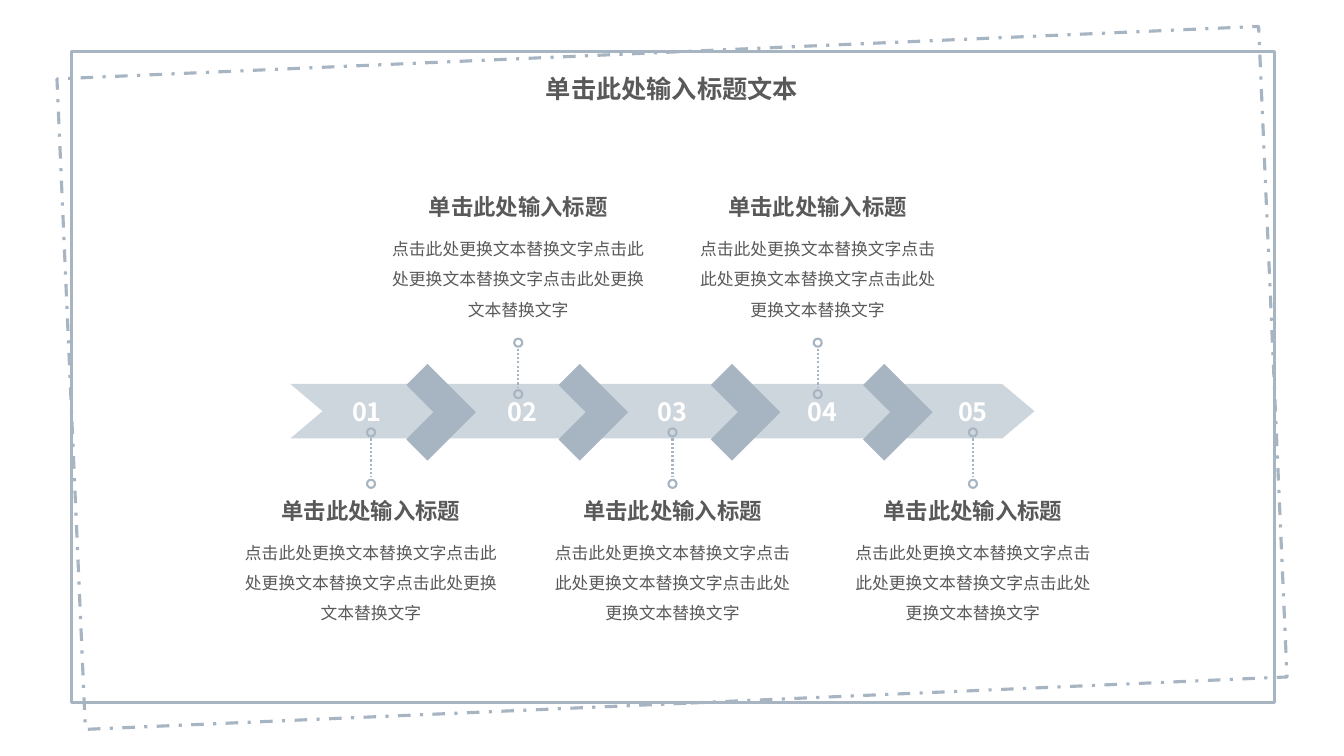
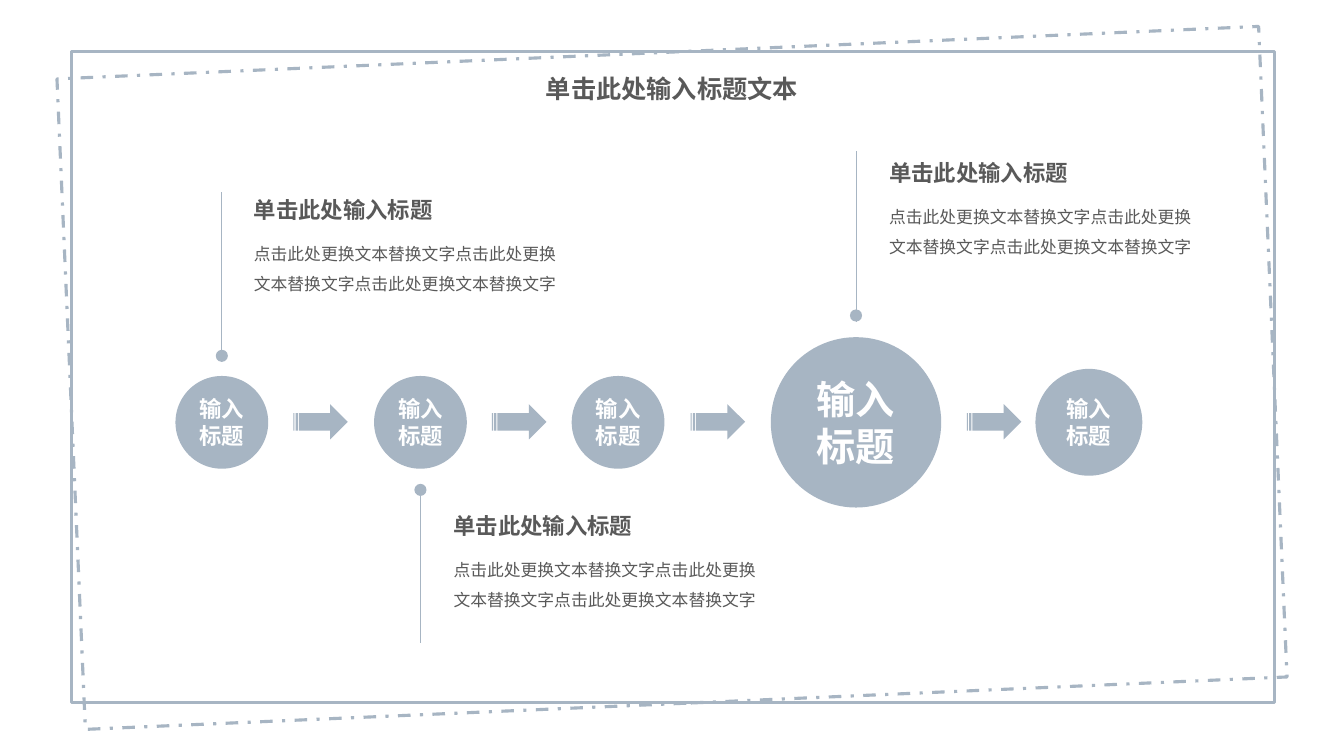
from dataclasses import dataclass
from typing import Optional

from pptx import Presentation
from pptx.dml.color import RGBColor
from pptx.enum.dml import MSO_LINE
from pptx.enum.shapes import MSO_CONNECTOR, MSO_SHAPE
from pptx.enum.text import MSO_ANCHOR, MSO_AUTO_SIZE, PP_ALIGN
from pptx.oxml.ns import qn
from pptx.oxml.xmlchemy import OxmlElement
from pptx.util import Inches, Pt


@dataclass(frozen=True)
class Theme:
    accent: RGBColor = RGBColor(0xA7, 0xB5, 0xC3)
    ink: RGBColor = RGBColor(0x59, 0x59, 0x59)
    white: RGBColor = RGBColor(0xFF, 0xFF, 0xFF)
    font: str = "Noto Sans CJK SC"
    title: float = 18
    heading: float = 16
    body: float = 12
    large: float = 28


@dataclass(frozen=True)
class TextStyle:
    size: float
    color: RGBColor
    bold: bool = True
    align: PP_ALIGN = PP_ALIGN.CENTER
    inset_x: float = 0.1
    inset_y: float = 0.05
    line_spacing: Optional[float] = None
    before: float = 0


@dataclass(frozen=True)
class Step:
    number: str
    number_x: float
    x: float
    body_w: float
    above: bool


@dataclass(frozen=True)
class Stage:
    x: float
    diameter: float
    size: float


@dataclass(frozen=True)
class Callout:
    x: float
    dot_y: float
    line_from: float
    line_to: float
    text_x: float
    heading_y: float


T = Theme()
TITLE = "单击此处输入标题文本"
HEADING = "单击此处输入标题"
BODY = "点击此处更换文本替换文字" * 3
STAGE = "输入标题"

TITLE_STYLE = TextStyle(T.title, T.ink)
NUMBER_STYLE = TextStyle(T.title, T.white, inset_x=0.07, inset_y=0.04)
STEP_HEADING = TextStyle(T.heading, T.ink, inset_x=0.07, inset_y=0.04)
STEP_BODY = TextStyle(T.body, T.ink, False, inset_x=0.07, inset_y=0.04,
                      line_spacing=1.5, before=2.4)
CALLOUT_HEADING = TextStyle(T.heading, T.ink, align=PP_ALIGN.LEFT)
CALLOUT_BODY = TextStyle(T.body, T.ink, False, PP_ALIGN.LEFT, line_spacing=1.5)

STEPS = [
    Step("01", 3.64, 3.68, 2.66, False),
    Step("02", 5.18, 5.14, 2.66, True),
    Step("03", 6.67, 6.67, 2.54, False),
    Step("04", 8.16, 8.11, 2.54, True),
    Step("05", 9.65, 9.65, 2.54, False),
]
BAND = [(2.88, 3.81), (9.94, 3.81), (10.26, 4.08), (9.94, 4.35), (2.88, 4.35), (3.2, 4.08)]
CHEVRON = [(0, 0.21), (0.21, 0), (0.69, 0.48), (0.21, 0.96), (0, 0.75), (0.27, 0.48)]

STAGES = [
    Stage(2.2, 0.92, T.heading),
    Stage(4.17, 0.92, T.heading),
    Stage(6.13, 0.92, T.heading),
    Stage(8.49, 1.69, T.large),
    Stage(10.8, 1.06, T.heading),
]
STAGE_Y = 4.19
ARROW_LEFTS = [2.91, 4.88, 6.85, 9.59]
CALLOUTS = [
    Callout(2.2, 3.53, 3.59, 1.9, 2.42, 1.9),
    Callout(8.49, 3.13, 3.19, 1.5, 8.72, 1.53),
    Callout(4.17, 4.86, 4.8, 6.38, 4.4, 5.03),
]


def write(sp, text: str, style: TextStyle) -> None:
    tf = sp.text_frame
    tf.word_wrap = True
    tf.margin_left = tf.margin_right = Inches(style.inset_x)
    tf.margin_top = tf.margin_bottom = Inches(style.inset_y)
    p = tf.paragraphs[0]
    p.alignment = style.align
    if style.line_spacing:
        p.line_spacing = style.line_spacing
    if style.before:
        p.space_before = Pt(style.before)
    r = p.add_run()
    r.text = text
    r.font.size = Pt(style.size)
    r.font.bold = style.bold
    r.font.color.rgb = style.color
    r.font.name = T.font
    ea = OxmlElement("a:ea")
    ea.set("typeface", T.font)
    r.font.color.rgb = style.color
    r._r.get_or_add_rPr().append(ea)


def add_text(s, x: float, y: float, w: float, h: float, text: str, style: TextStyle) -> None:
    sp = s.shapes.add_textbox(Inches(x), Inches(y), Inches(w), Inches(h))
    write(sp, text, style)
    sp.text_frame.auto_size = MSO_AUTO_SIZE.SHAPE_TO_FIT_TEXT


def fill_accent(sp):
    sp.shadow.inherit = False
    sp.fill.solid()
    sp.fill.fore_color.rgb = T.accent
    sp.line.fill.background()
    return sp


def add_filled(s, kind: MSO_SHAPE, x: float, y: float, w: float, h: float):
    return fill_accent(s.shapes.add_shape(kind, Inches(x), Inches(y), Inches(w), Inches(h)))


def add_outline(s, kind: MSO_SHAPE, x: float, y: float, w: float, h: float, weight: float):
    sp = s.shapes.add_shape(kind, Inches(x), Inches(y), Inches(w), Inches(h))
    sp.shadow.inherit = False
    sp.fill.background()
    sp.line.color.rgb = T.accent
    sp.line.width = Pt(weight)
    return sp


def add_polygon(s, points: list[tuple[float, float]]):
    pts = [(Inches(x), Inches(y)) for x, y in points]
    fb = s.shapes.build_freeform(*pts[0])
    fb.add_line_segments(pts[1:], close=True)
    return fill_accent(fb.convert_to_shape())


def add_vertical(s, x: float, y1: float, y2: float, weight: float,
                 dash: Optional[MSO_LINE] = None) -> None:
    cn = s.shapes.add_connector(MSO_CONNECTOR.STRAIGHT, Inches(x), Inches(y1),
                                Inches(x), Inches(y2))
    cn.line.color.rgb = T.accent
    cn.line.width = Pt(weight)
    if dash:
        cn.line.dash_style = dash
    cn.element.spPr.append(OxmlElement("a:effectLst"))


def move_frame_to_layout(s, layout) -> None:
    tilted = add_outline(s, MSO_SHAPE.RECTANGLE, 0.7, 0.52, 11.93, 6.46, 2.25)
    tilted.rotation = 357.5
    tilted.line.dash_style = MSO_LINE.DASH_DOT
    straight = add_outline(s, MSO_SHAPE.RECTANGLE, 0.71, 0.51, 11.93, 6.46, 2.25)
    for sp in (tilted, straight):
        layout.element.cSld.spTree.append(sp.element)


def add_title(s) -> None:
    add_text(s, 5.3, 0.68, 2.73, 0.4, TITLE, TITLE_STYLE)


def add_step(s, step: Step) -> None:
    pin_y, heading_y = (3.36, 1.88) if step.above else (4.25, 4.89)
    add_text(s, step.number_x - 0.41, 3.89, 0.82, 0.38, step.number, NUMBER_STYLE)
    for y in (pin_y, pin_y + 0.51):
        add_outline(s, MSO_SHAPE.OVAL, step.x - 0.04, y, 0.08, 0.08, 1.5)
    add_vertical(s, step.x, pin_y + 0.1, pin_y + 0.48, 1.5, MSO_LINE.ROUND_DOT)
    add_text(s, step.x - 1.06, heading_y, 2.12, 0.34, HEADING, STEP_HEADING)
    add_text(s, step.x - step.body_w / 2, heading_y + 0.35, step.body_w, 0.98, BODY, STEP_BODY)


def build_steps(s) -> None:
    add_title(s)
    band = add_polygon(s, BAND)
    alpha = OxmlElement("a:alpha")
    alpha.set("val", "56000")
    band.element.spPr.find(qn("a:solidFill")).find(qn("a:srgbClr")).append(alpha)
    for i in range(len(STEPS) - 1):
        add_polygon(s, [(4.03 + 1.51 * i + x, 3.61 + y) for x, y in CHEVRON])
    for step in STEPS:
        add_step(s, step)


def add_callout(s, c: Callout) -> None:
    add_filled(s, MSO_SHAPE.OVAL, c.x - 0.06, c.dot_y - 0.06, 0.12, 0.12)
    add_vertical(s, c.x, c.line_from, c.line_to, 0.5)
    add_text(s, c.text_x, c.heading_y, 2.1, 0.37, HEADING, CALLOUT_HEADING)
    add_text(s, c.text_x, c.heading_y + 0.37, 3.33, 0.67, BODY, CALLOUT_BODY)


def build_stages(s) -> None:
    add_title(s)
    for stage in STAGES:
        d = stage.diameter
        sp = add_filled(s, MSO_SHAPE.OVAL, stage.x - d / 2, STAGE_Y - d / 2, d, d)
        write(sp, STAGE, TextStyle(stage.size, T.white))
        sp.text_frame.vertical_anchor = MSO_ANCHOR.MIDDLE
    for x in ARROW_LEFTS:
        add_filled(s, MSO_SHAPE.STRIPED_RIGHT_ARROW, x, 4.01, 0.54, 0.35)
    for c in CALLOUTS:
        add_callout(s, c)


def main() -> None:
    prs = Presentation()
    prs.slide_width, prs.slide_height = Inches(13.33), Inches(7.5)
    layout = prs.slide_layouts[6]
    steps, stages = (prs.slides.add_slide(layout) for _ in range(2))
    move_frame_to_layout(steps, layout)
    build_steps(steps)
    build_stages(stages)
    prs.save("out.pptx")


if __name__ == "__main__":
    main()
